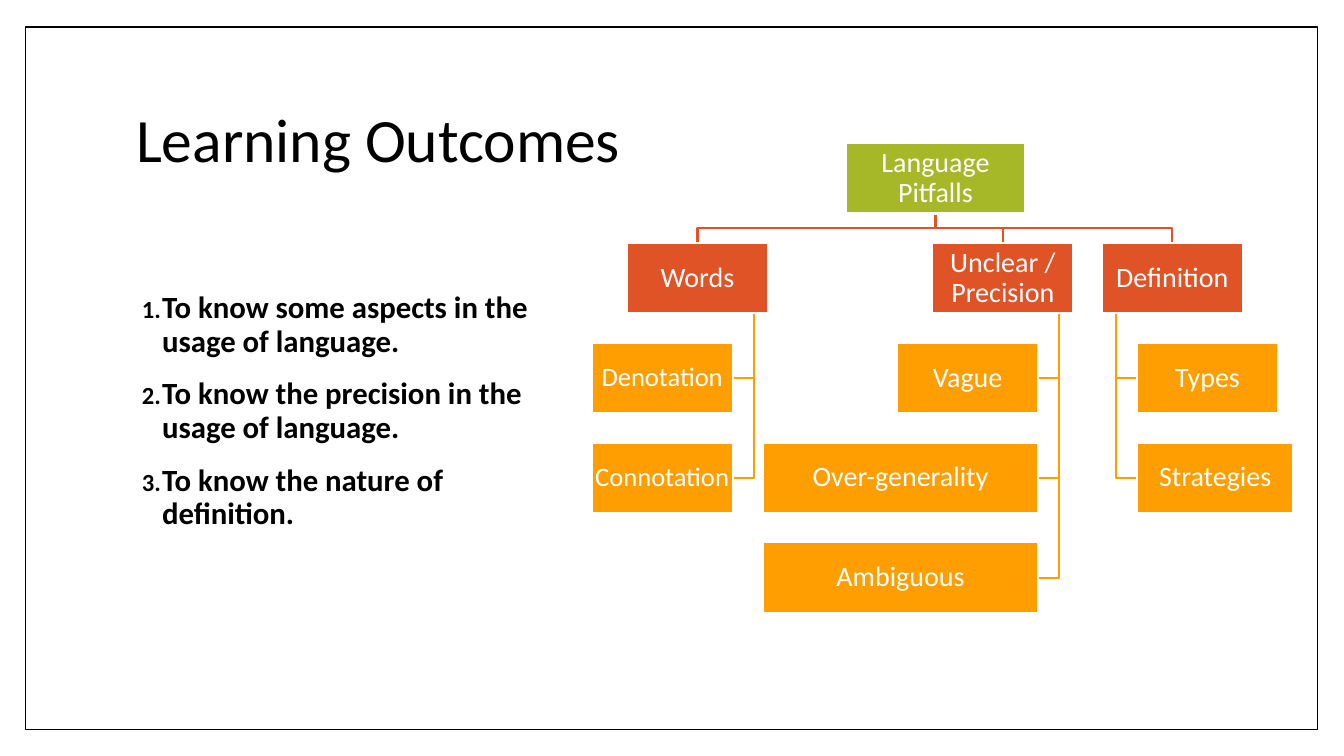
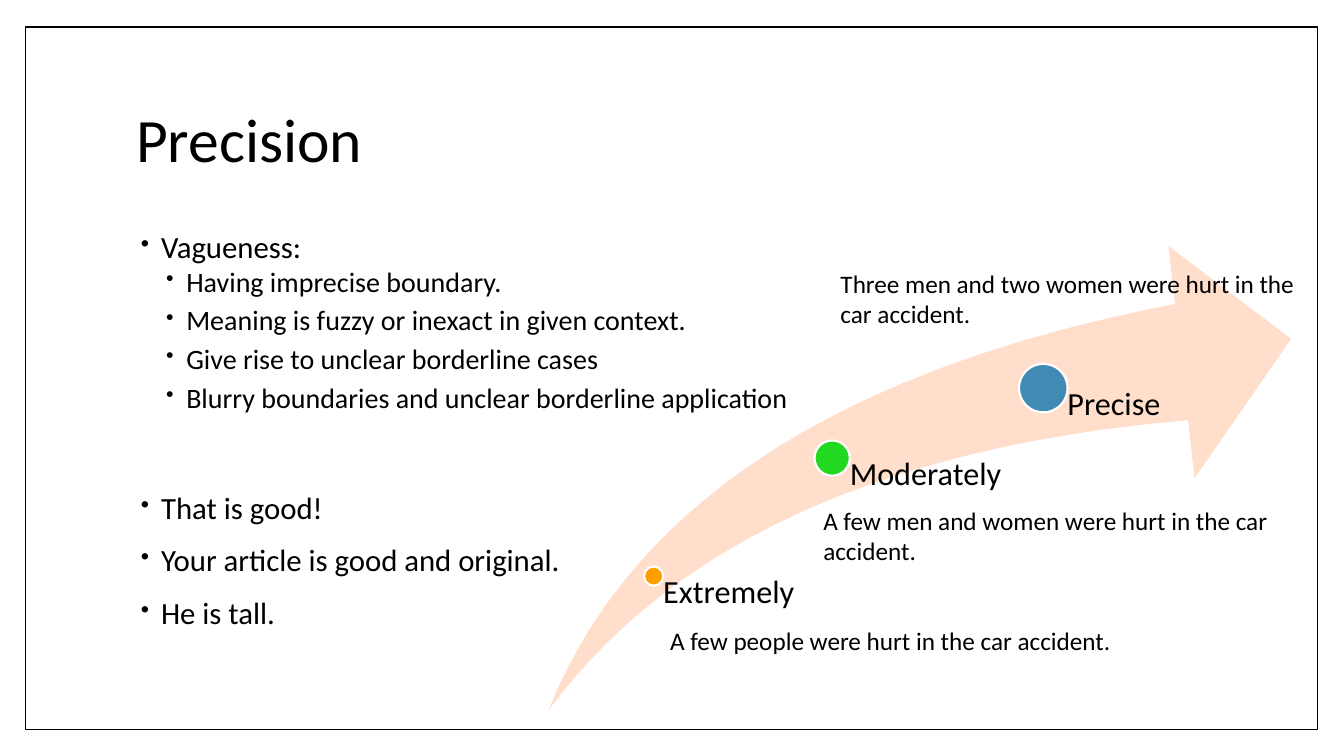
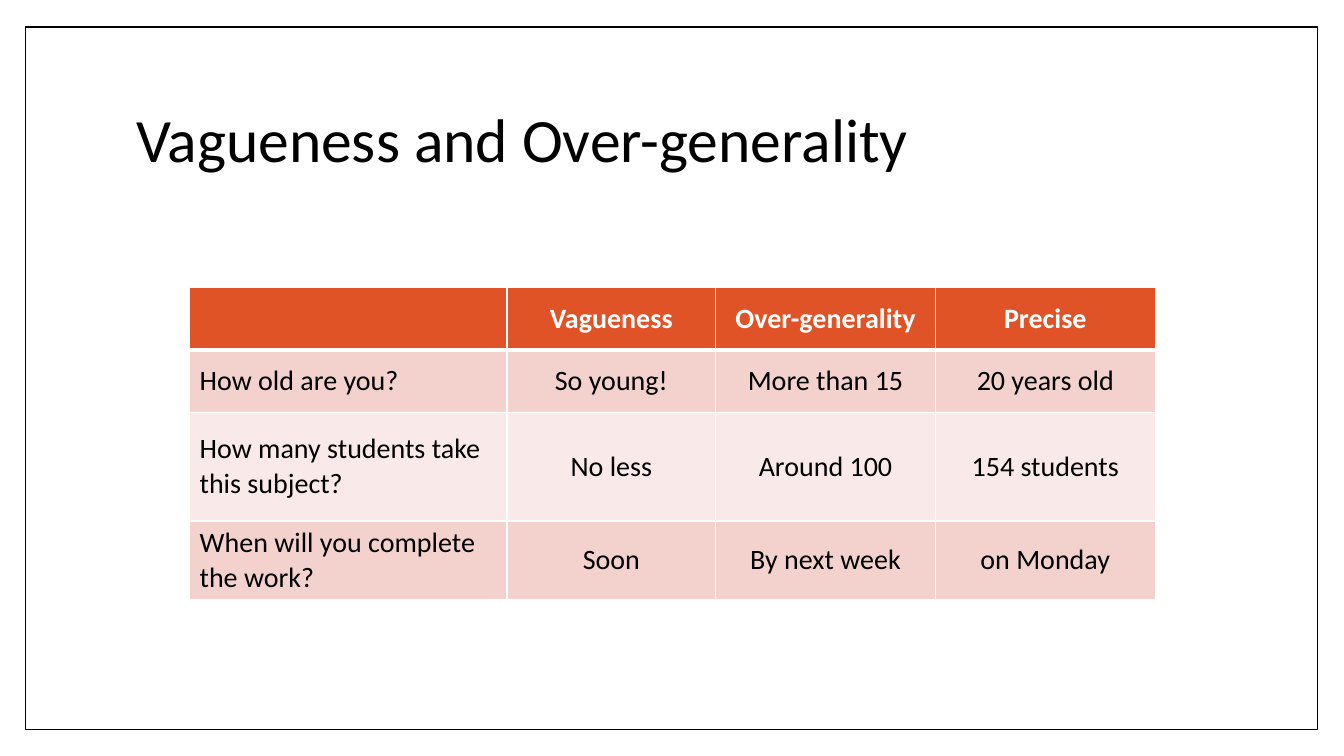
from lxml import etree
from pptx import Presentation
from pptx.dml.color import RGBColor
from pptx.enum.shapes import MSO_SHAPE
from pptx.enum.text import MSO_ANCHOR, MSO_AUTO_SIZE, PP_ALIGN
from pptx.oxml.ns import qn
from pptx.util import Pt

RECTANGLE, OVAL, SWOOSH = MSO_SHAPE.RECTANGLE, MSO_SHAPE.OVAL, MSO_SHAPE.SWOOSH_ARROW
LEFT, CENTER = PP_ALIGN.LEFT, PP_ALIGN.CENTER
TOP, MIDDLE = MSO_ANCHOR.TOP, MSO_ANCHOR.MIDDLE
NO_AUTOFIT = MSO_AUTO_SIZE.NONE

# Shared style
FONT = "Calibri"
BLACK, WHITE = "000000", "FFFFFF"
GREEN, RED, ORANGE = "A6B727", "DF5327", "FE9E00"
LIME, BLUE, PEACH = "23D821", "418AB3", "FFDFCC"
PINK, PALE_PINK = "F3D1CD", "F9E9E8"
TITLE_ONLY = 5
FRAME = (18, 19.4, 923, 501.8)
TITLE_BOX = (90, 48.2, 777.6, 106.6)
MARGINS = (7.2, 3.6, 7.2, 3.6)

# Slide 1: outcomes and topic tree
OUTCOMES = [
    "To know some aspects in the usage of language.",
    "To know the precision in the usage of language.",
    "To know the nature of definition.",
]
OUTCOMES_BOX = (90.7, 205.2, 315.4, 269.3)
ROOT = ("Language Pitfalls", 604.1, 128.2)
# topic, left, side of its children, children as (text, width, size)
TOPICS = [
    ("Words", 447.8, -1, [("Denotation", 100.8, 19), ("Connotation", 100.8, 19)]),
    ("Unclear / Precision", 666, -1,
     [("Vague", 100.8, 20), ("Over-generality", 196.6, 20), ("Ambiguous", 196.6, 20)]),
    ("Definition", 787, 1, [("Types", 100.8, 20), ("Strategies", 111.6, 20)]),
]
TREE_TOP, ROW_PITCH, NODE_HEIGHT, TOPIC_WIDTH = 102.2, 71.3, 50.4, 100.8
TRUNK_INSET, BRANCH = 10.1, 15.1

# Slide 2: bullets (text, level, space before) and stages of precision
BULLETS = [
    ("Vagueness:", 0, 0),
    ("Having imprecise boundary.", 1, 2),
    ("Meaning is fuzzy or inexact in given context.", 1, 2),
    ("Give rise to unclear borderline cases", 1, 2),
    ("Blurry boundaries and unclear borderline application", 1, 2),
    ("That is good!", 0, 52),
    ("Your article is good and original.", 0, 14),
    ("He is tall.", 0, 14),
]
BULLETS_BOX = (90, 162, 777.6, 318.2)
SWOOSH_BOX = (391.7, 175.7, 530.6, 331.9)
# label, dot colour, dot centre, dot size
STAGES = [
    ("Extremely", ORANGE, 466.9, 411.5, 13.7),
    ("Moderately", LIME, 594.4, 327.2, 25.2),
    ("Precise", BLUE, 745.2, 277.2, 34.6),
]
LABEL_WIDTH = 127.4
EXAMPLES = [
    ("A few people were hurt in the car accident.", (471.6, 442.8, 345.6, 28.8)),
    ("A few men and women were hurt in the car accident.", (581, 357.1, 345.6, 51.1)),
    ("Three men and two women were hurt in the car accident.", (593.3, 187.9, 345.6, 51.1)),
]

# Slide 3: comparison table
TABLE_ROWS = [
    ["", "Vagueness", "Over-generality", "Precise"],
    ["How old are you?", "So young!", "More than 15", "20 years old"],
    ["How many students take this subject?", "No less", "Around 100", "154 students"],
    ["When will you complete the work?", "Soon", "By next week", "on Monday"],
]
TABLE_LEFT, TABLE_TOP = 135.4, 205.2
COLUMN_WIDTHS = [226.8, 149, 157, 157]
ROW_HEIGHTS = [44.6, 44.6, 77.8, 55.7]


def color(hex_string):
    return RGBColor.from_string(hex_string)


def points(values):
    return [Pt(value) for value in values]


def style(paragraph, size, hex_color=BLACK, bold=False, align=LEFT, spacing=0.9):
    paragraph.alignment = align
    paragraph.line_spacing = spacing
    font = paragraph.font
    font.name, font.size, font.bold = FONT, Pt(size), bold
    font.color.rgb = color(hex_color)


def prepare_frame(text_frame, anchor=TOP, margins=MARGINS):
    text_frame.word_wrap = True
    text_frame.auto_size = NO_AUTOFIT
    text_frame.vertical_anchor = anchor
    (text_frame.margin_left, text_frame.margin_top,
     text_frame.margin_right, text_frame.margin_bottom) = points(margins)


def add_box(slide, preset, box, fill, line=None, line_width=1.5):
    shape = slide.shapes.add_shape(preset, *points(box))
    shape.shadow.inherit = False
    shape.fill.solid()
    shape.fill.fore_color.rgb = color(fill)
    if line:
        shape.line.color.rgb = color(line)
        shape.line.width = Pt(line_width)
    else:
        shape.line.fill.background()
    return shape


def add_text(slide, text, box, size, margins=MARGINS, spacing=0.9):
    text_frame = slide.shapes.add_textbox(*points(box)).text_frame
    prepare_frame(text_frame, margins=margins)
    text_frame.text = text
    style(text_frame.paragraphs[0], size, spacing=spacing)


def add_list(slide, items, box, bullet_tag, bullet_attributes, bold=False):
    text_frame = slide.shapes.add_textbox(*points(box)).text_frame
    prepare_frame(text_frame)
    for index, (text, level, space_before) in enumerate(items):
        paragraph = text_frame.paragraphs[0] if index == 0 else text_frame.add_paragraph()
        paragraph.text = text
        paragraph.level = level
        paragraph.space_before = Pt(space_before)
        paragraph.space_after = Pt(4 * level)
        properties = paragraph._p.get_or_add_pPr()
        properties.set("marL", str(Pt(18 + 18 * level)))
        properties.set("indent", str(Pt(-14.4)))
        bullet_color = etree.SubElement(properties, qn("a:buClr"))
        etree.SubElement(bullet_color, qn("a:srgbClr"), val=BLACK)
        etree.SubElement(properties, qn("a:buSzPct"), val="80000")
        etree.SubElement(properties, qn(bullet_tag), **bullet_attributes)
        style(paragraph, 22 - 2 * level, bold=bold)


def add_titled_slide(presentation, title_text):
    slide = presentation.slides.add_slide(presentation.slide_layouts[TITLE_ONLY])
    title = slide.shapes.title
    title.left, title.top, title.width, title.height = points(TITLE_BOX)
    prepare_frame(title.text_frame, MIDDLE)
    title.text_frame.text = title_text
    style(title.text_frame.paragraphs[0], 44)
    return slide


def move_frame_to_layout(slide):
    frame = add_box(slide, RECTANGLE, FRAME, WHITE, BLACK, 1)
    slide.slide_layout.shapes.element.insert(2, frame.element)


def row_top(level):
    return TREE_TOP + level * ROW_PITCH


def add_node(slide, text, left, level, width, fill, size=20):
    node = add_box(slide, RECTANGLE, (left, row_top(level), width, NODE_HEIGHT), fill, WHITE)
    prepare_frame(node.text_frame, MIDDLE, (0.9,) * 4)
    node.text_frame.text = text
    style(node.text_frame.paragraphs[0], size, WHITE, align=CENTER)


def add_elbow(slide, vertices, hex_color):
    start, *rest = [points(vertex) for vertex in vertices]
    builder = slide.shapes.build_freeform(*start)
    builder.add_line_segments(rest, close=False)
    elbow = builder.convert_to_shape()
    elbow.shadow.inherit = False
    elbow.fill.background()
    elbow.line.color.rgb = color(hex_color)
    elbow.line.width = Pt(1.5)


def add_tree(slide):
    root_text, root_left, root_width = ROOT
    root_center = root_left + root_width / 2
    root_bottom, topic_top = row_top(0) + NODE_HEIGHT, row_top(1)
    bend = (root_bottom + topic_top) / 2
    nodes = [(root_text, root_left, 0, root_width, GREEN)]

    for topic, left, side, children in TOPICS:
        center = left + TOPIC_WIDTH / 2
        add_elbow(slide, [(root_center, root_bottom), (root_center, bend),
                          (center, bend), (center, topic_top)], RED)
        nodes.append((topic, left, 1, TOPIC_WIDTH, RED))
        trunk = center - side * (TOPIC_WIDTH / 2 - TRUNK_INSET)
        edge = trunk + side * BRANCH
        for level, (text, width, size) in enumerate(children, start=2):
            middle = row_top(level) + NODE_HEIGHT / 2
            add_elbow(slide, [(trunk, topic_top + NODE_HEIGHT), (trunk, middle),
                              (edge, middle)], ORANGE)
            child_left = edge if side > 0 else edge - width
            nodes.append((text, child_left, level, width, ORANGE, size))

    for node in nodes:
        add_node(slide, *node)


def add_stages(slide):
    swoosh = add_box(slide, SWOOSH, SWOOSH_BOX, PEACH)
    swoosh.adjustments[0] = swoosh.adjustments[1] = 0.25
    bottom = SWOOSH_BOX[1] + SWOOSH_BOX[3]
    for label, fill, center_x, center_y, size in STAGES:
        radius = size / 2
        add_box(slide, OVAL, (center_x - radius, center_y - radius, size, size), fill, WHITE)
        add_text(slide, label, (center_x, center_y, LABEL_WIDTH, bottom - center_y), 23,
                 (radius, 0, 0, 0))
    for text, box in EXAMPLES:
        add_text(slide, text, box, 18, spacing=1)


def set_borders(cell, widths):
    properties = cell._tc.get_or_add_tcPr()
    for side, width in zip("LRTB", widths):
        border = etree.SubElement(properties, qn(f"a:ln{side}"), w=str(Pt(width)))
        fill = etree.SubElement(border, qn("a:solidFill"))
        etree.SubElement(fill, qn("a:srgbClr"), val=WHITE)


def add_comparison(slide):
    box = (TABLE_LEFT, TABLE_TOP, sum(COLUMN_WIDTHS), sum(ROW_HEIGHTS))
    table = slide.shapes.add_table(len(TABLE_ROWS), len(COLUMN_WIDTHS), *points(box)).table
    for column, width in zip(table.columns, COLUMN_WIDTHS):
        column.width = Pt(width)
    for row_index, texts in enumerate(TABLE_ROWS):
        table.rows[row_index].height = Pt(ROW_HEIGHTS[row_index])
        header = row_index == 0
        fill = RED if header else (PALE_PINK, PINK)[row_index % 2]
        border_widths = (1, 1, 3 if row_index == 1 else 1, 3 if header else 1)
        for column_index, text in enumerate(texts):
            cell = table.cell(row_index, column_index)
            set_borders(cell, border_widths)
            cell.fill.solid()
            cell.fill.fore_color.rgb = color(fill)
            cell.vertical_anchor = MIDDLE
            cell.text = text
            style(cell.text_frame.paragraphs[0], 20, WHITE if header else BLACK, header,
                  CENTER if column_index else LEFT, 1)


def main():
    presentation = Presentation()
    presentation.slide_width, presentation.slide_height = Pt(960), Pt(540)

    outcomes = add_titled_slide(presentation, "Learning Outcomes")
    move_frame_to_layout(outcomes)
    numbered = [(text, 0, 14 if index else 0) for index, text in enumerate(OUTCOMES)]
    add_list(outcomes, numbered, OUTCOMES_BOX, "a:buAutoNum", {"type": "arabicPeriod"}, True)
    add_tree(outcomes)

    precision = add_titled_slide(presentation, "Precision")
    add_list(precision, BULLETS, BULLETS_BOX, "a:buChar", {"char": "•"})
    add_stages(precision)

    comparison = add_titled_slide(presentation, "Vagueness and Over-generality")
    add_comparison(comparison)

    presentation.save("out.pptx")


if __name__ == "__main__":
    main()
